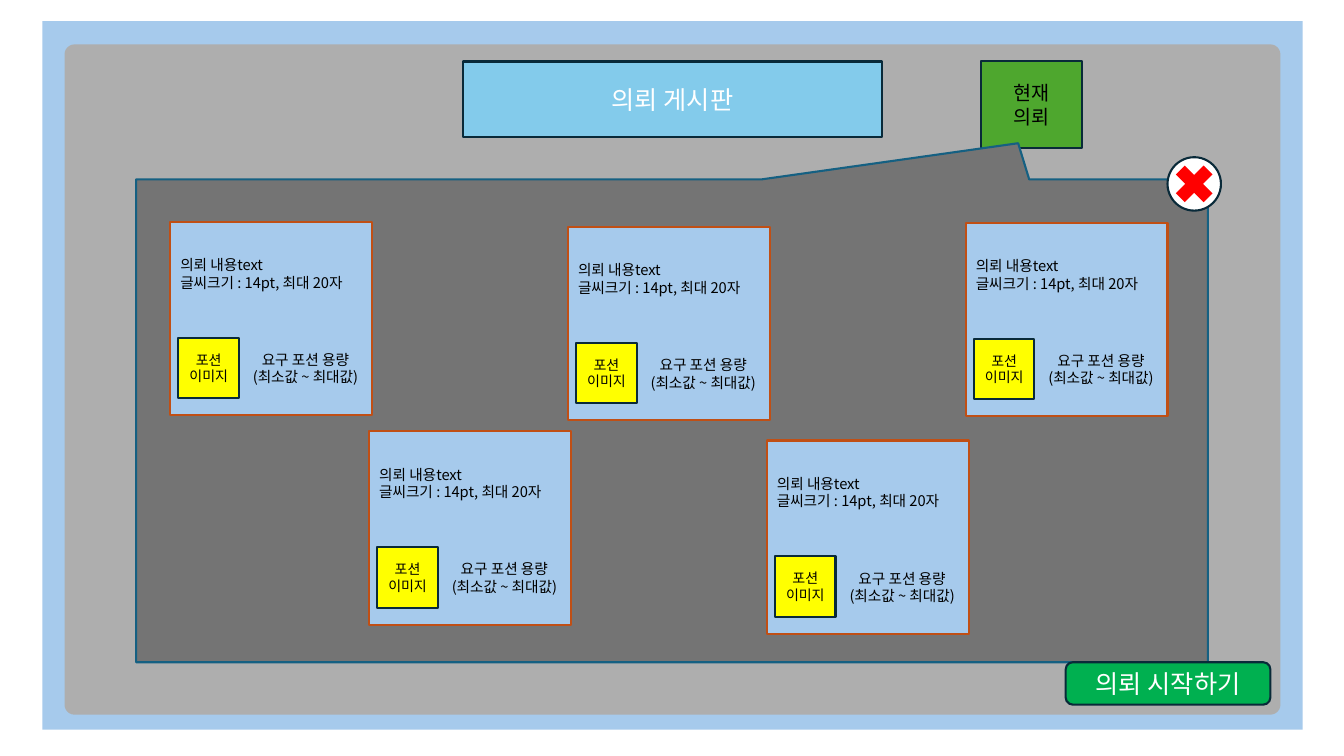
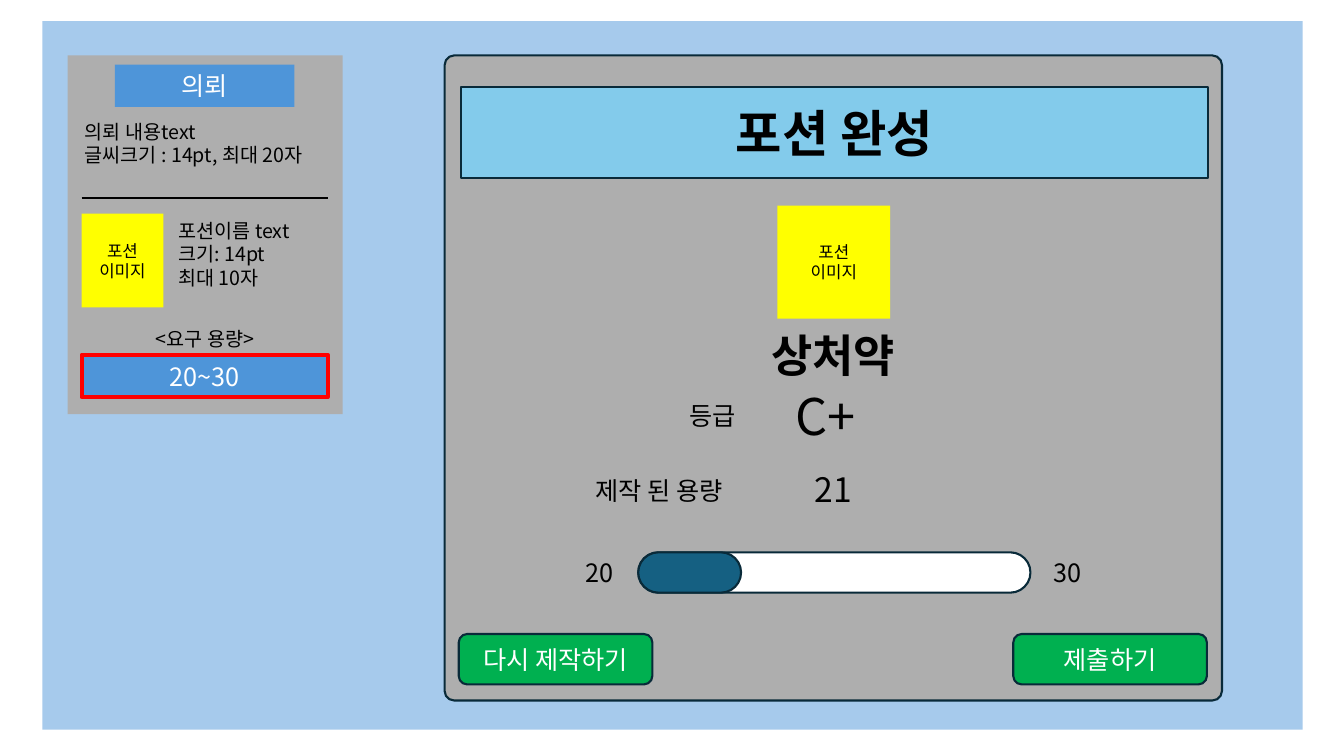
from dataclasses import dataclass

from lxml import etree
from pptx import Presentation
from pptx import util as u
from pptx.dml.color import RGBColor
from pptx.enum import shapes, text
from pptx.oxml.ns import qn

SHAPE = shapes.MSO_SHAPE
ALIGN = text.PP_ALIGN


@dataclass(frozen=True)
class Theme:
    font: str = "Noto Sans CJK KR"
    white: str = "FFFFFF"
    black: str = "000000"
    sky: str = "A6CAEC"
    panel: str = "AEAEAE"
    board: str = "747474"
    banner: str = "83CBEB"
    label: str = "4E95D9"
    teal: str = "156082"
    edge: str = "092A39"
    card_edge: str = "C04F15"
    tab: str = "4EA72E"
    button: str = "00B050"
    image: str = "FFFF00"
    red: str = "FF0000"
    tiny: float = 10
    small: float = 10.5
    caption: float = 12
    body: float = 14
    heading: float = 18
    value: float = 24
    name: float = 32
    display: float = 36
    line: float = 1.5
    thick: float = 3
    panel_round: float = 0.015


T = Theme()
IMAGE_TEXT = "포션\n이미지"
REQUEST_TEXT = "의뢰 내용text\n글씨크기 : 14pt, 최대 20자"


def rgb(value):
    return RGBColor.from_string(value)


def inches(box):
    return [u.Inches(v) for v in box]


def write(sp, content, size, color=T.black, bold=False, align=ALIGN.CENTER,
          anchor=text.MSO_ANCHOR.MIDDLE, wrap=True,
          fit=text.MSO_AUTO_SIZE.NONE):
    tf = sp.text_frame
    frame = {"word_wrap": wrap, "auto_size": fit, "vertical_anchor": anchor}
    for key, value in frame.items():
        setattr(tf, key, value)
    style = {"name": T.font, "size": u.Pt(size), "bold": bold}
    for i, row in enumerate(content.split("\n")):
        p = tf.paragraphs[0] if i == 0 else tf.add_paragraph()
        p.alignment = align
        r = p.add_run()
        r.text = row
        for key, value in style.items():
            setattr(r.font, key, value)
        r.font.color.rgb = rgb(color)
        ea = etree.SubElement(r.font._element, qn("a:ea"))
        ea.set("typeface", T.font)


def paint(sp, fill, line=None, width=T.line, adj=()):
    sp.shadow.inherit = False
    sp.fill.solid()
    sp.fill.fore_color.rgb = rgb(fill)
    if line:
        sp.line.color.rgb = rgb(line)
        sp.line.width = u.Pt(width)
    else:
        sp.line.fill.background()
    for i, value in enumerate(adj):
        sp.adjustments[i] = value


def add_box(parent, box, fill, line=None, kind=SHAPE.RECTANGLE, **look):
    sp = parent.shapes.add_shape(kind, *inches(box))
    paint(sp, fill, line, **look)
    return sp


def add_text(parent, box, content, size, **style):
    sp = parent.shapes.add_textbox(*inches(box))
    style = {"anchor": text.MSO_ANCHOR.TOP, "wrap": False,
             "fit": text.MSO_AUTO_SIZE.SHAPE_TO_FIT_TEXT, **style}
    write(sp, content, size, **style)


def add_title(s, box, content, size, preset="rect", adj=(), **style):
    sp = s.shapes.title
    for key, value in zip(("left", "top", "width", "height"), inches(box)):
        setattr(sp, key, value)
    geom = etree.SubElement(sp._element.spPr, qn("a:prstGeom"), prst=preset)
    etree.SubElement(geom, qn("a:avLst"))
    paint(sp, T.banner, T.edge, adj=adj)
    write(sp, content, size, **style)
    s.shapes._spTree.append(sp._element)


def add_rule(parent, x1, x2, y):
    line = parent.shapes.add_connector(
        shapes.MSO_CONNECTOR.STRAIGHT, *inches((x1, y, x2, y)))
    line.line.color.rgb = rgb(T.black)
    line.line.width = u.Pt(T.line)
    etree.SubElement(line._element.spPr, qn("a:effectLst"))


def add_image_slot(parent, box, size, line=None):
    write(add_box(parent, box, T.image, line), IMAGE_TEXT, size)


def add_button(s, box, content):
    sp = add_box(s, box, T.button, T.edge, SHAPE.ROUNDED_RECTANGLE)
    write(sp, content, T.heading, T.white)


def add_label(parent, box, content, **look):
    write(add_box(parent, box, T.label, **look), content, T.heading, T.white)


def add_panel(s, box, line=None):
    add_box(s, box, T.panel, line, SHAPE.ROUNDED_RECTANGLE,
            adj=(T.panel_round,))


def add_request_card(s, x, y, amount_width):
    card = s.shapes.add_group_shape()
    add_box(card, (x, y, 2, 1.92), T.sky, T.card_edge)
    add_image_slot(card, (x + 0.08, y + 1.15, 0.6, 0.6), T.tiny, T.edge)
    add_text(card, (x, y + 0.29, 1.97, 0.45), REQUEST_TEXT, T.small,
             align=ALIGN.LEFT)
    add_text(card, (x + 1.34 - amount_width / 2, y + 1.23, amount_width, 0.47),
             "요구 포션 용량\n(최소값 ~ 최대값)", T.small, wrap=True)


def add_close_button(s, box):
    close = s.shapes.add_group_shape()
    add_box(close, box, T.white, T.edge, SHAPE.OVAL)
    add_box(close, box, T.red, kind=SHAPE.MATH_MULTIPLY)


def add_request_summary(s):
    summary = s.shapes.add_group_shape()
    add_box(summary, (0.67, 0.55, 2.73, 3.56), T.panel)
    add_label(summary, (1.14, 0.64, 1.78, 0.42), "의뢰")
    add_text(summary, (0.74, 1.14, 2.5, 0.57), REQUEST_TEXT, T.body,
             align=ALIGN.LEFT, wrap=True)
    add_rule(summary, 0.81, 3.25, 1.96)
    add_image_slot(summary, (0.81, 2.12, 0.81, 0.93), T.caption)
    add_text(summary, (1.67, 2.12, 1.39, 0.81),
             "포션이름 text\n크기: 14pt\n최대 10자", T.body, align=ALIGN.LEFT)
    add_label(summary, (0.81, 3.52, 2.44, 0.42), "20~30",
              line=T.red, width=T.thick)
    add_text(summary, (1.37, 3.19, 1.33, 0.34), "<요구 용량>", T.body)


def add_gauge(s, x, y, width, filled):
    for length, fill in ((width, T.white), (filled, T.teal)):
        add_box(s, (x, y, length, 0.4), fill, T.edge,
                SHAPE.ROUNDED_RECTANGLE, adj=(0.5,))
    for left, limit in ((x - 0.62, "20"), (x + width + 0.13, "30")):
        add_text(s, (left, y, 0.48, 0.4), limit, T.heading)


def new_slide(prs):
    s = prs.slides.add_slide(prs.slide_layouts[5])
    add_box(s, (0.42, 0.21, 12.5, 7.03), T.sky)
    return s


def build_board(prs):
    s = new_slide(prs)
    add_panel(s, (0.64, 0.44, 12.06, 6.65))
    add_title(s, (4.59, 0.61, 4.16, 0.75), "의뢰 게시판", T.heading,
              color=T.white)
    tab = add_box(s, (9.73, 0.61, 1, 0.86), T.tab, T.edge)
    write(tab, "현재\n의뢰", T.body)
    add_box(s, (1.35, 1.78, 10.63, 4.79), T.board, T.teal,
            SHAPE.RECTANGULAR_CALLOUT, adj=(0.323, -0.575))
    for i, top in enumerate((2.2, 4.28, 2.25, 4.37, 2.21)):
        add_request_card(s, 1.69 + i * 1.9725, top, 1.44 if i else 1.36)
    add_close_button(s, (11.58, 1.56, 0.53, 0.53))
    add_button(s, (10.57, 6.57, 2.03, 0.42), "의뢰 시작하기")


def build_result(prs):
    s = new_slide(prs)
    add_request_summary(s)
    add_panel(s, (4.41, 0.55, 7.71, 6.4), T.edge)
    add_title(s, (4.57, 0.86, 7.41, 0.91), "포션 완성", T.display,
              preset="roundRect", adj=(0.31,), bold=True)
    add_image_slot(s, (7.71, 2.04, 1.12, 1.12), T.caption)
    add_text(s, (4.41, 3.2, 7.71, 0.64), "상처약", T.name, bold=True,
             wrap=True)
    add_text(s, (6.74, 3.92, 1, 0.4), "등급", T.heading,
             align=ALIGN.LEFT, wrap=True)
    add_text(s, (7.79, 3.77, 0.88, 0.71), "C+", T.display, align=ALIGN.LEFT)
    add_text(s, (5.81, 4.67, 2, 0.4), "제작 된 용량", T.heading,
             align=ALIGN.LEFT, wrap=True)
    add_text(s, (7.98, 4.6, 0.57, 0.5), "21", T.value)
    add_gauge(s, 6.33, 5.48, 3.89, 1.02)
    for left, content in ((4.55, "다시 제작하기"), (10.05, "제출하기")):
        add_button(s, (left, 6.29, 1.92, 0.5), content)


def main():
    prs = Presentation()
    prs.slide_width, prs.slide_height = inches((13.33, 7.5))
    build_board(prs)
    build_result(prs)
    prs.save("out.pptx")


if __name__ == "__main__":
    main()
